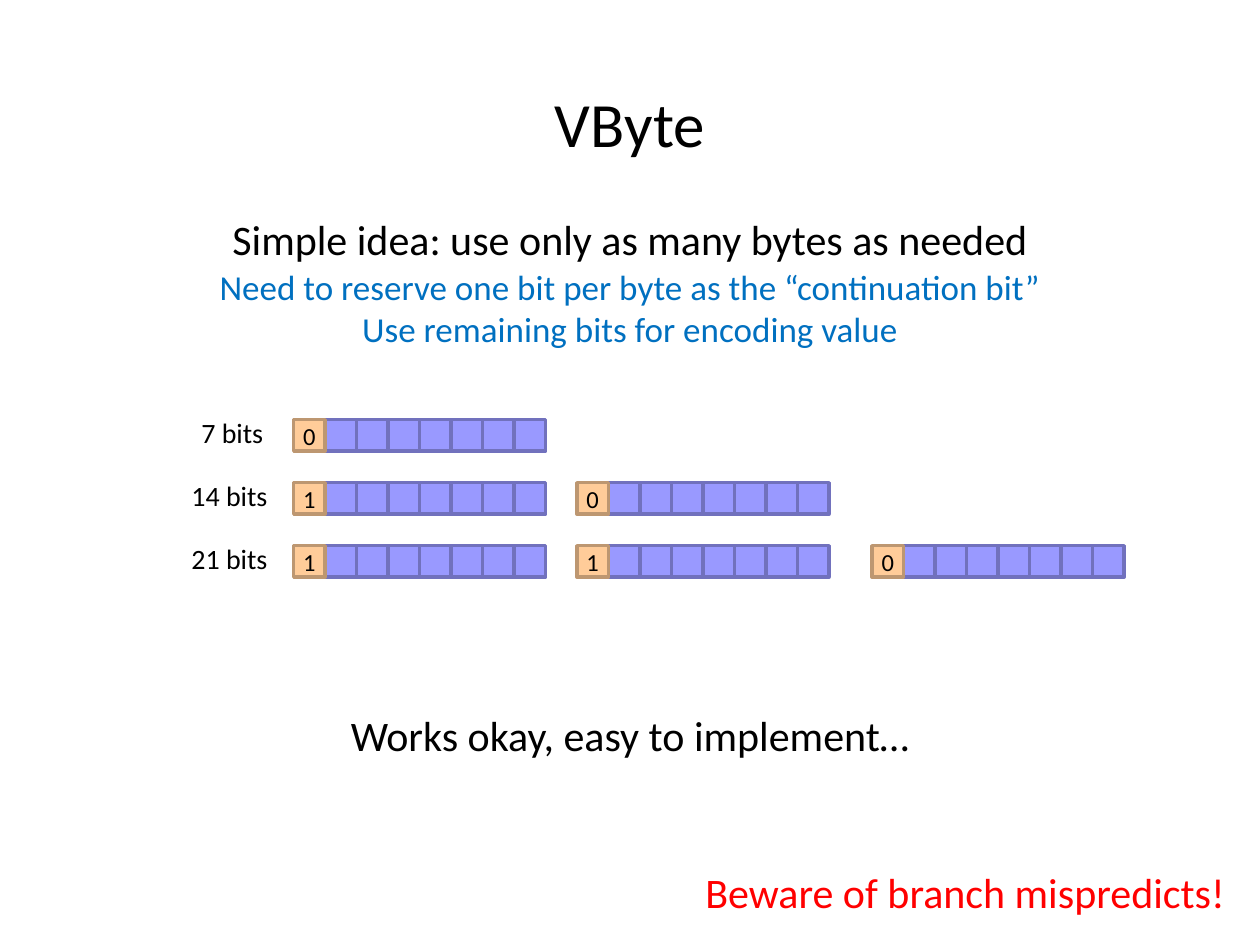
from dataclasses import dataclass

from pptx import Presentation
from pptx import util as u
from pptx.dml.color import RGBColor
from pptx.enum import shapes, text

COLORS = {
    "ink": "000000",
    "detail": "0070C0",
    "warning": "FF0000",
    "flag_fill": "FFCC99",
    "flag_line": "BD9771",
    "payload_fill": "9999FF",
    "payload_line": "7171BD",
}
FONT = "Calibri"
BITS_PER_BYTE = 8
BYTE_WIDTH = 5.08
BIT = BYTE_WIDTH / BITS_PER_BYTE
BYTE_LEFTS = (5.92, 11.63, 17.58)
FIRST_BYTE_TOP = 8.46
FIRST_LABEL_TOP = 8.26
ROW_STEP = 1.27
SLIDE_WIDTH, SLIDE_HEIGHT = 25.4, 19.05


@dataclass(frozen=True)
class Caption:
    lines: tuple[str, ...]
    left: float
    top: float
    width: float
    height: float
    size: int
    color: str = "ink"
    centered: bool = True


@dataclass(frozen=True)
class Encoding:
    label: str
    label_left: float
    label_width: float
    flags: str


TITLE = Caption(("VByte",), 0, 1.52, SLIDE_WIDTH, 1.9, 36)
CAPTIONS = (
    Caption(("Simple idea: use only as many bytes as needed",),
            0, 4.17, SLIDE_WIDTH, 1.27, 24),
    Caption(("Need to reserve one bit per byte as the “continuation bit”",
             "Use remaining bits for encoding value"),
            0, 5.23, SLIDE_WIDTH, 1.96, 20, "detail"),
    Caption(("Works okay, easy to implement…",),
            0, 14.17, SLIDE_WIDTH, 1.27, 24),
    Caption(("Beware of branch mispredicts!",),
            13.97, 17.35, 11.05, 1.27, 24, "warning", False),
)
ENCODINGS = (
    Encoding("7 bits", 3.81, 1.78, "0"),
    Encoding("14 bits", 3.61, 2.06, "10"),
    Encoding("21 bits", 3.61, 2.06, "110"),
)


def rgb(name: str) -> RGBColor:
    return RGBColor.from_string(COLORS[name])


def apply(target, values: dict) -> None:
    for attribute, value in values.items():
        setattr(target, attribute, value)


def write(frame, lines: tuple[str, ...], size: int, color: str, centered: bool) -> None:
    for index, line in enumerate(lines):
        paragraph = frame.add_paragraph() if index else frame.paragraphs[0]
        paragraph.alignment = text.PP_ALIGN.CENTER if centered else text.PP_ALIGN.LEFT
        run = paragraph.add_run()
        run.text = line
        apply(run.font, {"name": FONT, "size": u.Pt(size)})
        run.font.color.rgb = rgb(color)


def draw_title(slide, caption: Caption) -> None:
    title = slide.shapes.title
    apply(title, {"left": u.Cm(caption.left), "top": u.Cm(caption.top),
                  "width": u.Cm(caption.width), "height": u.Cm(caption.height)})
    apply(title.text_frame, {"auto_size": text.MSO_AUTO_SIZE.NONE,
                             "vertical_anchor": text.MSO_ANCHOR.MIDDLE})
    write(title.text_frame, caption.lines, caption.size, caption.color, caption.centered)


def draw_caption(slide, caption: Caption) -> None:
    box = slide.shapes.add_textbox(u.Cm(caption.left), u.Cm(caption.top),
                                   u.Cm(caption.width), u.Cm(caption.height))
    apply(box.text_frame, {"word_wrap": caption.centered,
                           "auto_size": text.MSO_AUTO_SIZE.SHAPE_TO_FIT_TEXT})
    write(box.text_frame, caption.lines, caption.size, caption.color, caption.centered)


def draw_bit(group, left: float, top: float, role: str):
    bit = group.shapes.add_shape(shapes.MSO_SHAPE.RECTANGLE,
                                 u.Cm(left), u.Cm(top), u.Cm(BIT), u.Cm(BIT))
    bit.shadow.inherit = False
    bit.fill.solid()
    bit.fill.fore_color.rgb = rgb(f"{role}_fill")
    bit.line.color.rgb = rgb(f"{role}_line")
    bit.line.width = u.Pt(2)
    return bit


def draw_byte(slide, left: float, top: float, flag: str) -> None:
    group = slide.shapes.add_group_shape()
    for position in range(1, BITS_PER_BYTE):
        draw_bit(group, left + position * BIT, top, "payload")
    frame = draw_bit(group, left, top, "flag").text_frame
    apply(frame, {"margin_left": 0, "margin_right": 0, "margin_top": 0,
                  "margin_bottom": 0, "vertical_anchor": text.MSO_ANCHOR.MIDDLE})
    write(frame, (flag,), 14, "ink", True)


def draw_encoding(slide, encoding: Encoding, row: int) -> None:
    for left, flag in zip(BYTE_LEFTS, encoding.flags):
        draw_byte(slide, left, FIRST_BYTE_TOP + row * ROW_STEP, flag)
    draw_caption(slide, Caption((encoding.label,), encoding.label_left,
                                FIRST_LABEL_TOP + row * ROW_STEP,
                                encoding.label_width, 0.94, 16, centered=False))


def main() -> None:
    deck = Presentation()
    apply(deck, {"slide_width": u.Cm(SLIDE_WIDTH), "slide_height": u.Cm(SLIDE_HEIGHT)})
    slide = deck.slides.add_slide(deck.slide_layouts[5])
    draw_title(slide, TITLE)
    for row, encoding in enumerate(ENCODINGS):
        draw_encoding(slide, encoding, row)
    for caption in CAPTIONS:
        draw_caption(slide, caption)
    deck.save("out.pptx")


if __name__ == "__main__":
    main()
